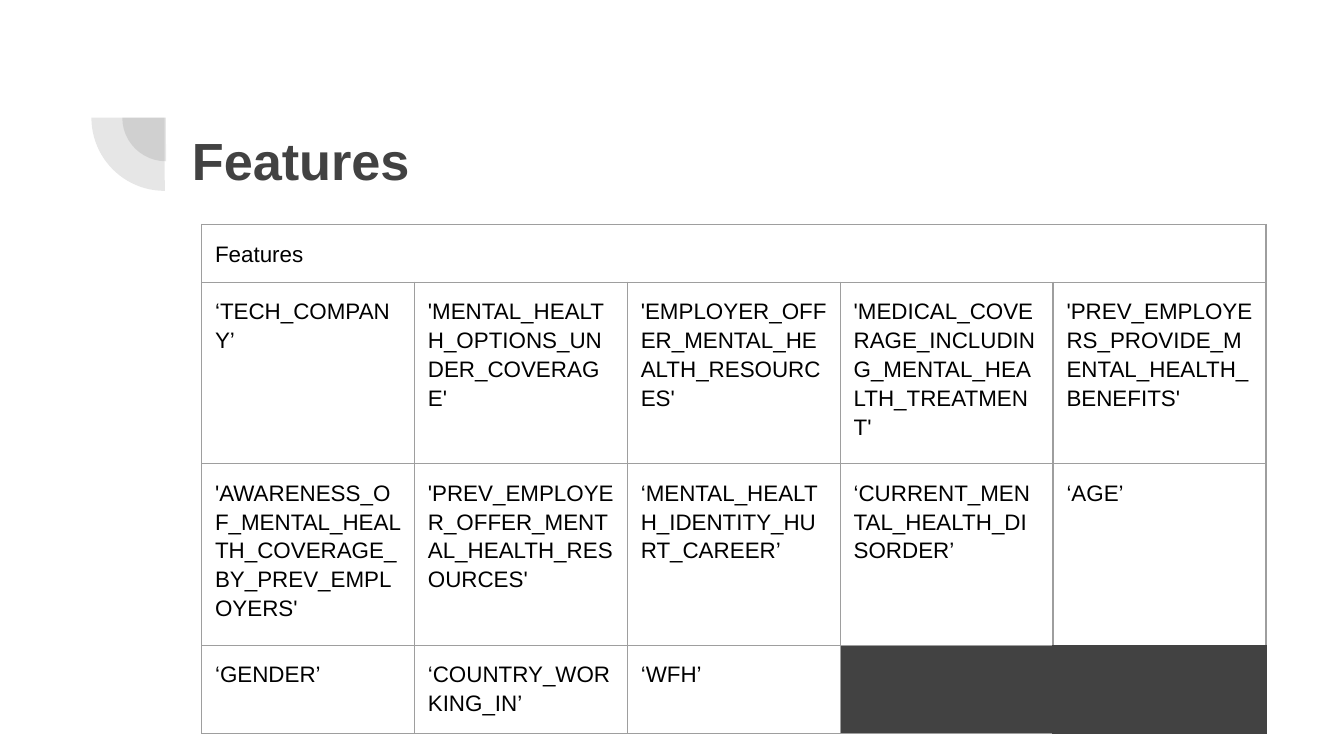
from dataclasses import dataclass

from pptx import Presentation
from pptx.dml.color import RGBColor
from pptx.enum.shapes import MSO_SHAPE
from pptx.enum.text import MSO_ANCHOR
from pptx.oxml.ns import qn
from pptx.util import Inches, Pt
from lxml.etree import SubElement


@dataclass(frozen=True)
class Theme:
    font: str = "Arial"
    dark: str = "424242"
    ink: str = "000000"
    rule: str = "9E9E9E"
    head: int = 28
    body: int = 12
    line: float = 0.75
    alpha: int = 13


class Page:
    def __init__(self, slide, theme):
        self.slide, self.theme = slide, theme

    def run(self, para, text, size, color, bold=False):
        run = para.add_run()
        run.text = text
        font = run.font
        font.name, font.size, font.bold = self.theme.font, Pt(size), bold
        font.color.rgb = RGBColor.from_string(color)

    def pie(self, x, y, size):
        """Quarter disc in a see-through tint."""
        shape = self.slide.shapes.add_shape(
            MSO_SHAPE.PIE, Inches(x), Inches(y), Inches(size), Inches(size))
        shape.adjustments[0], shape.adjustments[1] = 107.93, 162
        shape.rotation = 270
        shape.shadow.inherit = False
        shape.line.fill.background()
        shape.fill.solid()
        shape.fill.fore_color.rgb = RGBColor.from_string(self.theme.dark)
        tint = shape.fill._xPr.find(f"{qn('a:solidFill')}/{qn('a:srgbClr')}")
        SubElement(tint, qn("a:alpha"), val=str(self.theme.alpha * 1000))

    def title(self, text, x, y, w, h):
        box = self.slide.shapes.add_textbox(
            Inches(x), Inches(y), Inches(w), Inches(h))
        frame = box.text_frame
        frame.word_wrap = True
        frame.vertical_anchor = MSO_ANCHOR.MIDDLE
        frame.margin_top = frame.margin_bottom = Inches(0.1)
        frame.margin_left = frame.margin_right = Inches(0.1)
        self.run(frame.paragraphs[0], text, self.theme.head,
                 self.theme.dark, True)

    def edge(self, cell, dark=""):
        """Rule all four sides; those named in dark take the dark color."""
        props = cell._tc.get_or_add_tcPr()
        for side in "LRTB":
            line = SubElement(props, qn(f"a:ln{side}"),
                              w=str(Pt(self.theme.line)))
            fill = SubElement(line, qn("a:solidFill"))
            color = self.theme.dark if side in dark else self.theme.rule
            SubElement(fill, qn("a:srgbClr"), val=color)

    def cell(self, cell, text, dark="", fill=None):
        cell.margin_left = cell.margin_right = Inches(0.1)
        cell.margin_top = cell.margin_bottom = Inches(0.1)
        self.edge(cell, dark)
        if fill:
            cell.fill.solid()
            cell.fill.fore_color.rgb = RGBColor.from_string(fill)
        else:
            cell.fill.background()
        para = cell.text_frame.paragraphs[0]
        if text:
            para.line_spacing, para.space_after = 1.15, Pt(12)
            self.run(para, text, self.theme.body, self.theme.ink)
        # Keep empty cells from raising the row
        SubElement(para._p, qn("a:endParaRPr"), sz=str(self.theme.body * 100))

    def table(self, rows, x, y, size, wide, high, dark):
        count = len(rows[-1])
        frame = self.slide.shapes.add_table(
            len(rows), count, Inches(x), Inches(y), Inches(size), Inches(size))
        table = frame.table
        table.first_row = table.horz_banding = False
        for col in table.columns:
            col.width = Inches(wide) // count
        for row in table.rows:
            row.height = Inches(high)
        frame.width = frame.height = Inches(size)
        for i, row in enumerate(rows):
            for j, text in enumerate(row):
                fill = None if text or i == 0 else self.theme.dark
                self.cell(table.cell(i, j), text, dark.get((i, j), ""), fill)
        table.cell(0, 0).merge(table.cell(0, count - 1))


ROWS = [
    ["Features", "", "", "", ""],
    ["‘TECH_COMPANY’",
     "'MENTAL_HEALTH_OPTIONS_UNDER_COVERAGE'",
     "'EMPLOYER_OFFER_MENTAL_HEALTH_RESOURCES'",
     "'MEDICAL_COVERAGE_INCLUDING_MENTAL_HEALTH_TREATMENT'",
     "'PREV_EMPLOYERS_PROVIDE_MENTAL_HEALTH_BENEFITS'"],
    ["'AWARENESS_OF_MENTAL_HEALTH_COVERAGE_BY_PREV_EMPLOYERS'",
     "'PREV_EMPLOYER_OFFER_MENTAL_HEALTH_RESOURCES'",
     "‘MENTAL_HEALTH_IDENTITY_HURT_CAREER’",
     "‘CURRENT_MENTAL_HEALTH_DISORDER’",
     "‘AGE’"],
    ["‘GENDER’", "‘COUNTRY_WORKING_IN’", "‘WFH’", "", ""],
]
DARK = {(2, 4): "B", (3, 3): "R", (3, 4): "LRTB"}


def main():
    deck = Presentation()
    deck.slide_width = Inches(10)
    deck.slide_height = deck.slide_width * 9 // 16
    page = Page(deck.slides.add_slide(deck.slide_layouts[6]), Theme())

    # Corner mark
    page.pie(0.91, 0.55, 0.65)
    page.pie(0.68, 0.33, 1.09)

    # Title
    page.title("Features", 1.33, 0.83, 2.06, 0.71)

    # Feature names
    page.table(ROWS, 1.5, 1.67, 3.28, 7.92, 0.42, DARK)

    deck.save("out.pptx")


if __name__ == "__main__":
    main()
